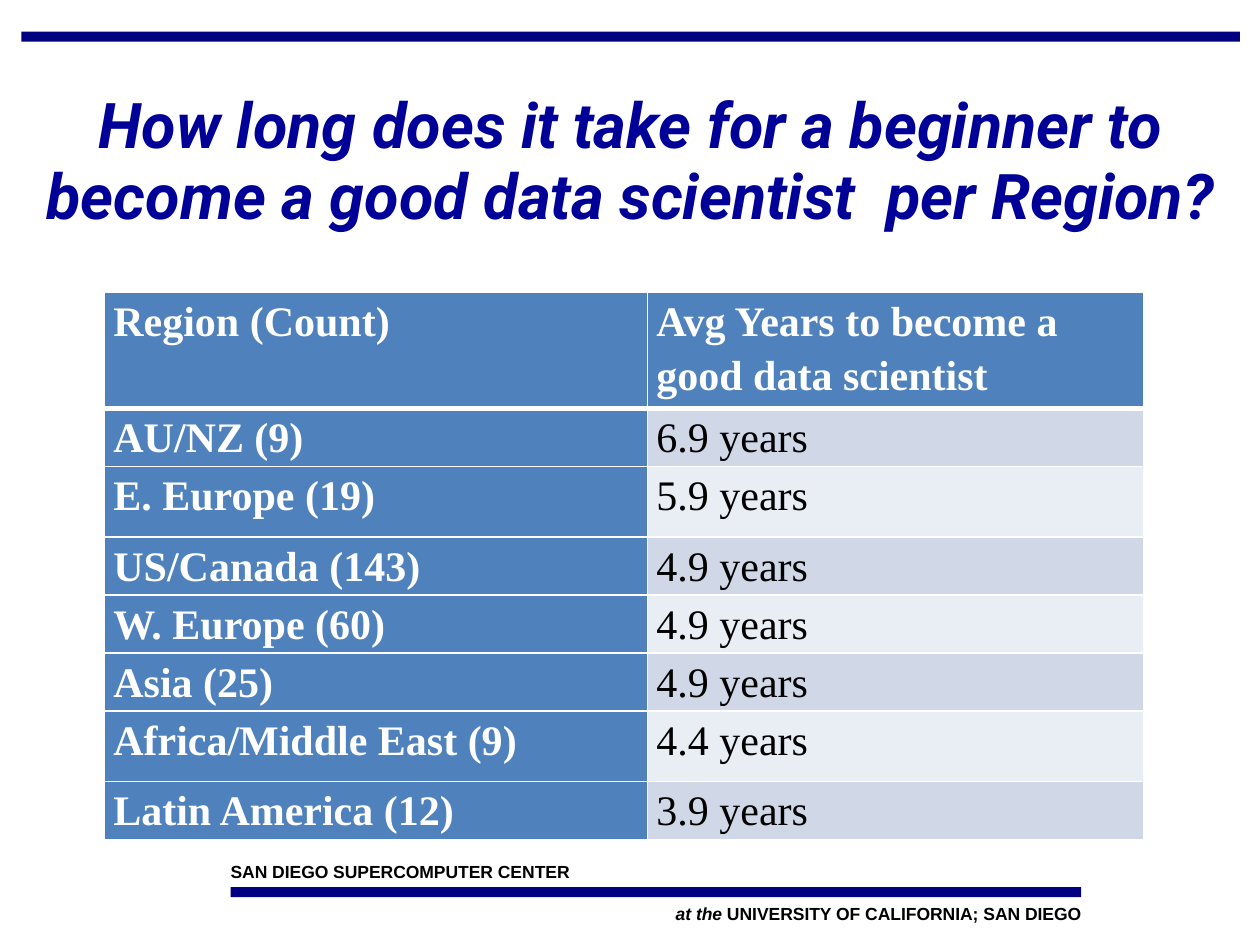
from dataclasses import dataclass

from lxml.etree import SubElement
from pptx import Presentation
from pptx.dml.color import RGBColor
from pptx.enum.shapes import MSO_SHAPE as Shape
from pptx.enum.text import MSO_ANCHOR as Anchor, PP_ALIGN as Align
from pptx.oxml.ns import qn
from pptx.util import Inches, Pt


@dataclass(frozen=True)
class Theme:
    bar: str = "000080"
    title: str = "000099"
    header: str = "4F81BD"
    bands: tuple = ("D0D8E8", "E9EDF4")
    light: str = "FFFFFF"
    dark: str = "000000"
    title_font: str = "Roboto"
    table_font: str = "Times New Roman"
    footer_font: str = "Arial"
    title_size: int = 36
    table_size: int = 24
    footer_size: int = 10


THEME = Theme()
HEADINGS = ("Region (Count)", "Avg Years to become a good data scientist")
REGIONS = (
    ("AU/NZ (9)", "6.9 years"),
    ("E. Europe (19)", "5.9 years"),
    ("US/Canada (143)", "4.9 years"),
    ("W. Europe (60)", "4.9 years"),
    ("Asia (25)", "4.9 years"),
    ("Africa/Middle East (9)", "4.4 years"),
    ("Latin America (12)", "3.9 years"),
)
COLUMN_WIDTHS = (4.31, 3.94)
HEADER_HEIGHT, ROW_HEIGHT, TALL_ROW_HEIGHT = 0.85, 0.42, 0.56
TALL_REGIONS = ("E. Europe (19)", "Africa/Middle East (9)")


def inches(*lengths):
    return [Inches(length) for length in lengths]


def write(frame, *texts, font, size, color, bold=False, italics=(),
          align=Align.LEFT, spacing=1.0):
    """Write the texts as runs of one paragraph; italics lists run indexes."""
    frame.word_wrap = True
    paragraph = frame.paragraphs[0]
    paragraph.alignment = align
    paragraph.line_spacing = spacing
    for index, text in enumerate(texts):
        run = paragraph.add_run()
        run.text = text
        run.font.name = font
        run.font.size = Pt(size)
        run.font.bold = bold
        run.font.italic = index in italics
        run.font.color.rgb = RGBColor.from_string(color)


def set_margins(frame, left, top, right, bottom):
    frame.margin_left, frame.margin_top, frame.margin_right, frame.margin_bottom = inches(
        left, top, right, bottom)


def add_bar(slide, left, top, width, height=0.08):
    bar = slide.shapes.add_shape(Shape.RECTANGLE, *inches(left, top, width, height))
    bar.shadow.inherit = False
    bar.fill.solid()
    bar.fill.fore_color.rgb = RGBColor.from_string(THEME.bar)
    bar.line.fill.background()


def add_title(slide, left, top, width, height):
    title = slide.shapes.title
    title.left, title.top, title.width, title.height = inches(left, top, width, height)
    frame = title.text_frame
    # The deep bottom margin lifts the two lines clear of the table.
    set_margins(frame, 0.1, 0.05, 0.1, 0.67)
    frame.vertical_anchor = Anchor.MIDDLE
    write(frame, "How long does it take for a beginner to become a good data scientist  per Region?",
          font=THEME.title_font, size=THEME.title_size, color=THEME.title,
          bold=True, italics=(0,), align=Align.CENTER, spacing=0.95)


def set_borders(cell, bottom_width):
    """Put the borders ahead of the fill, as the cell schema requires."""
    properties = cell._tc.get_or_add_tcPr()
    widths = {"lnL": 1, "lnR": 1, "lnT": 1, "lnB": bottom_width}
    for position, (side, width) in enumerate(widths.items()):
        line = SubElement(properties, qn(f"a:{side}"), w=str(Pt(width)))
        fill = SubElement(line, qn("a:solidFill"))
        SubElement(fill, qn("a:srgbClr"), val=THEME.light)
        properties.insert(position, line)


def fill_cell(cell, text, fill, strong, bottom_width):
    cell.fill.solid()
    cell.fill.fore_color.rgb = RGBColor.from_string(fill)
    set_margins(cell, 0.07, 0, 0.07, 0)
    write(cell.text_frame, text, font=THEME.table_font, size=THEME.table_size,
          color=THEME.light if strong else THEME.dark, bold=strong, spacing=1.15)
    set_borders(cell, bottom_width)


def add_region_table(slide, left, top):
    rows = (HEADINGS, *REGIONS)
    heights = [HEADER_HEIGHT] + [
        TALL_ROW_HEIGHT if region in TALL_REGIONS else ROW_HEIGHT for region, _ in REGIONS]
    table = slide.shapes.add_table(
        len(rows), len(COLUMN_WIDTHS),
        *inches(left, top, sum(COLUMN_WIDTHS), sum(heights))).table
    for column, width in zip(table.columns, COLUMN_WIDTHS):
        column.width = Inches(width)
    for row_index, (texts, height) in enumerate(zip(rows, heights)):
        table.rows[row_index].height = Inches(height)
        is_header = row_index == 0
        for column_index, text in enumerate(texts):
            strong = is_header or column_index == 0
            fill = THEME.header if strong else THEME.bands[(row_index - 1) % 2]
            fill_cell(table.cell(row_index, column_index), text, fill, strong,
                      bottom_width=3 if is_header else 1)


def add_footer(slide, left, top, width):
    line_width, line_height = 6.25, 0.17
    add_bar(slide, left, top + 0.21, width)
    lines = (
        (left, top, Align.LEFT, ("SAN DIEGO SUPERCOMPUTER CENTER",), ()),
        (left + width - line_width, top + 0.34, Align.RIGHT,
         ("at the", " UNIVERSITY OF CALIFORNIA; SAN DIEGO"), (0,)),
    )
    for line_left, line_top, align, texts, italics in lines:
        box = slide.shapes.add_textbox(*inches(line_left, line_top, line_width, line_height))
        set_margins(box.text_frame, 0, 0, 0, 0)
        write(box.text_frame, *texts, font=THEME.footer_font, size=THEME.footer_size,
              color=THEME.dark, bold=True, italics=italics, align=align)


def main():
    presentation = Presentation()
    presentation.slide_width, presentation.slide_height = inches(10, 7.5)
    slide = presentation.slides.add_slide(presentation.slide_layouts[5])
    add_bar(slide, 0.17, 0.25, 9.67)
    add_footer(slide, 1.83, 6.83, 6.75)
    add_title(slide, 0.17, 1.03, 9.67, 1.14)
    add_region_table(slide, 0.83, 2.32)
    presentation.save("out.pptx")


if __name__ == "__main__":
    main()
